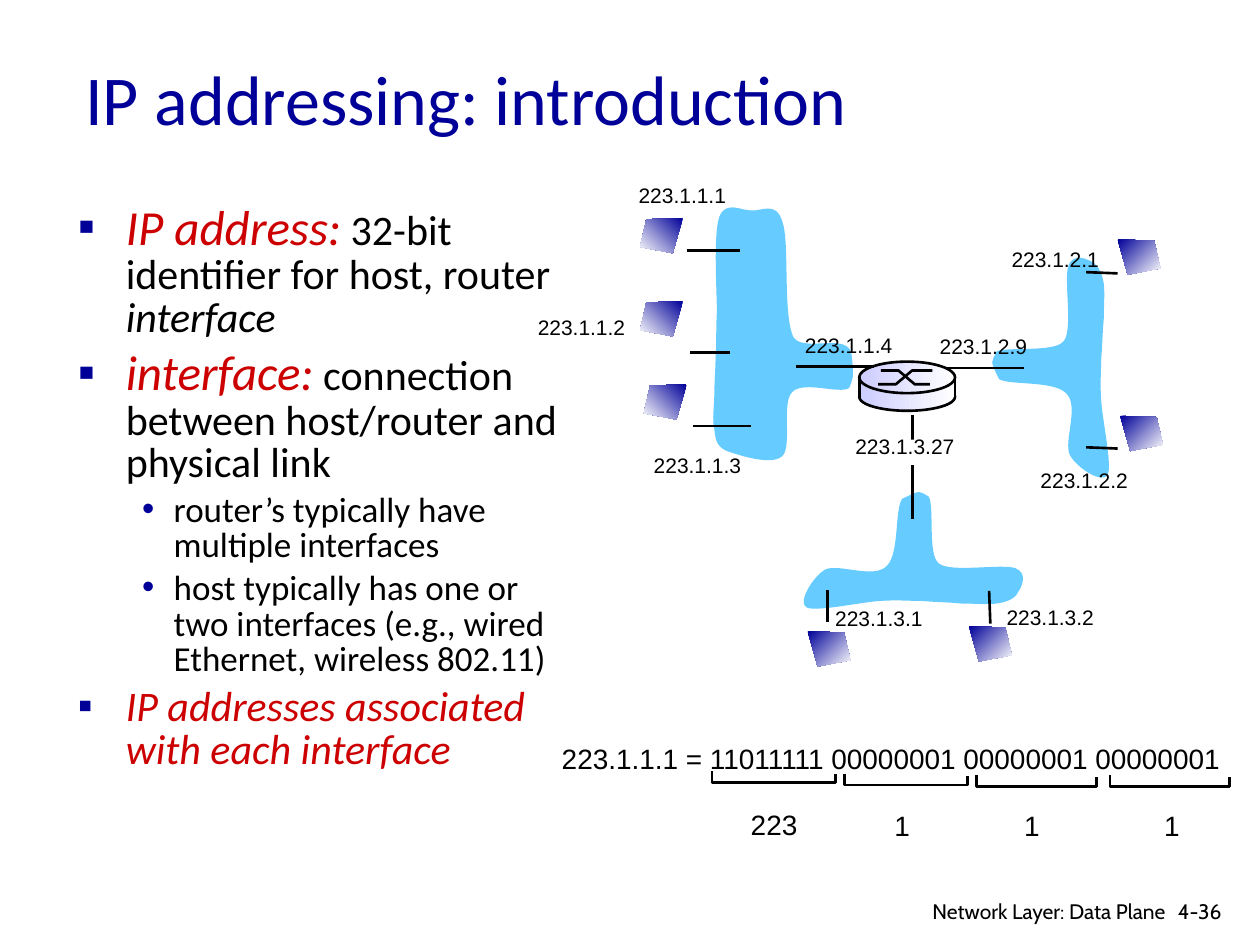
from lxml.etree import SubElement
from pptx import Presentation
from pptx.dml.color import RGBColor
from pptx.enum.shapes import MSO_CONNECTOR, MSO_SHAPE
from pptx.enum.text import MSO_ANCHOR, MSO_AUTO_SIZE, PP_ALIGN
from pptx.oxml.ns import qn
from pptx.util import Inches, Pt

BLACK = RGBColor(0x00, 0x00, 0x00)
WHITE = RGBColor(0xFF, 0xFF, 0xFF)
NAVY = RGBColor(0x00, 0x00, 0x99)
RED = RGBColor(0xCC, 0x00, 0x00)
SKY = RGBColor(0x66, 0xCC, 0xFF)
LAVENDER = RGBColor(0xCC, 0xCC, 0xFF)

# Subnet outlines: a start point, then three Bezier points per segment.
SUBNETS = [
    [(7.16, 3.96), (7.1, 4.05), (7.14, 4.39), (7.04, 4.49),
     (6.94, 4.6), (6.66, 4.47), (6.55, 4.52), (6.45, 4.58), (6.33, 4.78), (6.4, 4.82),
     (6.47, 4.86), (6.83, 4.78), (6.98, 4.77), (7.13, 4.76), (7.21, 4.77), (7.32, 4.77),
     (7.43, 4.78), (7.53, 4.78), (7.63, 4.79), (7.72, 4.79), (7.84, 4.8), (7.91, 4.79),
     (7.99, 4.78), (8.06, 4.75), (8.08, 4.7), (8.11, 4.66), (8.16, 4.55), (8.06, 4.51),
     (7.95, 4.47), (7.54, 4.55), (7.45, 4.47), (7.36, 4.4), (7.42, 4.01), (7.37, 3.94),
     (7.29, 3.9), (7.32, 3.88), (7.16, 3.96)],
    [(7.93, 3.01), (8.02, 3.06), (8.36, 3.02), (8.46, 3.12),
     (8.57, 3.22), (8.44, 3.5), (8.49, 3.61), (8.55, 3.72), (8.75, 3.84), (8.79, 3.77),
     (8.83, 3.7), (8.75, 3.34), (8.74, 3.18), (8.73, 3.03), (8.74, 2.95), (8.74, 2.85),
     (8.75, 2.74), (8.75, 2.63), (8.76, 2.54), (8.76, 2.44), (8.77, 2.33), (8.76, 2.25),
     (8.75, 2.18), (8.72, 2.11), (8.67, 2.08), (8.63, 2.06), (8.52, 2), (8.48, 2.11),
     (8.44, 2.21), (8.52, 2.63), (8.44, 2.71), (8.37, 2.8), (7.98, 2.75), (7.91, 2.79),
     (7.87, 2.88), (7.85, 2.85), (7.93, 3.01)],
    [(6.76, 2.82), (6.74, 2.63), (6.39, 2.8), (6.3, 2.68),
     (6.21, 2.5), (6.27, 1.92), (6.21, 1.76), (6.16, 1.59), (6.04, 1.68), (5.96, 1.67),
     (5.88, 1.67), (5.76, 1.59), (5.71, 1.72), (5.66, 1.86), (5.69, 2.3), (5.69, 2.48),
     (5.68, 2.66), (5.69, 2.71), (5.68, 2.81), (5.68, 2.92), (5.67, 3.03), (5.67, 3.12),
     (5.67, 3.22), (5.65, 3.33), (5.67, 3.41), (5.68, 3.48), (5.68, 3.54), (5.77, 3.58),
     (5.86, 3.61), (6.12, 3.7), (6.21, 3.62), (6.29, 3.54), (6.2, 3.19), (6.29, 3.11),
     (6.38, 3.02), (6.66, 3.13), (6.74, 3.08), (6.77, 3), (6.78, 3.01), (6.76, 2.82)],
]

BODY = [
    (0, [("IP address:", 28, RED, True), (" 32-bit identifier for host, router ", 24, BLACK, False),
         ("interface", 24, BLACK, True)]),
    (0, [("interface:", 28, RED, True),
         (" connection between host/router and physical link", 24, BLACK, False)]),
    (1, [("router’s typically have multiple interfaces", 20, BLACK, False)]),
    (1, [("host typically has one or two interfaces (e.g., wired Ethernet, wireless 802.11)",
          20, BLACK, False)]),
    (0, [("IP addresses associated with each interface", 24, RED, True)]),
]

ADDRESSES = [("223.1.1.1", 4.97, 1.4), ("223.1.1.2", 4.17, 2.45), ("223.1.1.3", 5.09, 3.54),
             ("223.1.1.4", 6.29, 2.59), ("223.1.2.9", 7.36, 2.6), ("223.1.2.2", 8.16, 3.66),
             ("223.1.2.1", 7.93, 1.91), ("223.1.3.2", 7.89, 4.75), ("223.1.3.1", 6.53, 4.76),
             ("223.1.3.27", 6.69, 3.39)]
LINKS = [(7.5, 2.92, 8.13, 2.92), (8.62, 2.16, 8.87, 2.17), (8.62, 3.55, 8.87, 3.56),
         (7.24, 3.29, 7.24, 4.12), (6.57, 4.94, 6.57, 4.68), (7.86, 4.95, 7.85, 4.69)]
LEFT_LINKS = [(5.45, 1.99, 5.87, 1.99), (5.48, 2.8, 5.79, 2.8),
              (5.5, 3.38, 5.96, 3.38), (6.32, 2.91, 6.94, 2.91)]
LEFT_HOSTS = [(5.08, 1.73), (5.08, 2.39), (5.11, 3.05)]
OTHER_HOSTS = [(8.87, 1.9), (8.89, 3.3), (7.69, 4.97), (6.41, 5.01)]
HOST = [(0, 0), (0.29, 0.01), (0.34, 0.23), (0.08, 0.28)]
# Bracket left, top, width, then its octet and the octet's left and top.
OCTETS = [(5.65, 6.12, 0.98, "223", 5.86, 6.36), (6.7, 6.14, 0.98, "1", 7, 6.37),
          (7.75, 6.15, 0.95, "1", 8.03, 6.37), (8.81, 6.15, 0.95, "1", 9.14, 6.37)]


def bend(sp):
    """Turn each three line segments of a freeform into one Bezier segment."""
    segments = list(sp._element.iter(qn("a:lnTo")))
    for i in range(0, len(segments), 3):
        first, *others = segments[i:i + 3]
        first.tag = qn("a:cubicBezTo")
        for segment in others:
            first.append(segment[0])
            segment.getparent().remove(segment)


def add_run(p, text, *, size=12, color=BLACK, font="Arial", italic=False):
    r = p.add_run()
    r.text = text
    r.font.size, r.font.name, r.font.italic = Pt(size), font, italic
    r.font.color.rgb = color


def add_bullet(p, char, indent, hang):
    pPr = p._p.get_or_add_pPr()
    pPr.set("marL", str(Inches(indent)))
    pPr.set("indent", str(-Inches(hang)))
    color = SubElement(pPr, qn("a:buClr"))
    SubElement(color, qn("a:srgbClr"), val=str(NAVY))
    SubElement(pPr, qn("a:buFont"), typeface="Arial")
    SubElement(pPr, qn("a:buChar"), char=char)


class Diagram:
    def __init__(self, slide, line_width=1.5):
        self.shapes = slide.shapes
        self.line_width = Pt(line_width)

    def frame(self, x, y, w, h, wrap=True):
        tf = self.shapes.add_textbox(Inches(x), Inches(y), Inches(w), Inches(h)).text_frame
        tf.word_wrap = wrap
        tf.auto_size = MSO_AUTO_SIZE.NONE if wrap else MSO_AUTO_SIZE.SHAPE_TO_FIT_TEXT
        return tf

    def text(self, text, x, y, w, h, *, wrap=False, align=PP_ALIGN.LEFT,
             anchor=MSO_ANCHOR.TOP, **fmt):
        tf = self.frame(x, y, w, h, wrap)
        tf.vertical_anchor = anchor
        tf.paragraphs[0].alignment = align
        add_run(tf.paragraphs[0], text, **fmt)

    def bullets(self, items, x, y, w, h):
        tf = self.frame(x, y, w, h)
        for i, (level, runs) in enumerate(items):
            p = tf.add_paragraph() if i else tf.paragraphs[0]
            add_bullet(p, *(("•", 0.76, 0.25) if level else ("▪", 0.38, 0.38)))
            p.level = level
            p.line_spacing = 0.85
            if i:
                p.space_before = Pt(runs[0][1] * 0.2)
            for text, size, color, italic in runs:
                add_run(p, text, size=size, color=color, italic=italic, font="Calibri")

    def paint(self, sp, fill, angle, outlined):
        """Fill with a colour, a pair of gradient colours, or nothing."""
        sp.shadow.inherit = False
        if fill is None:
            sp.fill.background()
        elif isinstance(fill, RGBColor):
            sp.fill.solid()
            sp.fill.fore_color.rgb = fill
        else:
            sp.fill.gradient()
            sp.fill.gradient_angle = angle
            for stop, color in zip(sp.fill.gradient_stops, fill):
                stop.color.rgb = color
        if outlined:
            sp.line.color.rgb = BLACK
            sp.line.width = self.line_width
        else:
            sp.line.fill.background()

    def shape(self, kind, x, y, w, h, fill, *, angle=0, outlined=False):
        sp = self.shapes.add_shape(kind, Inches(x), Inches(y), Inches(w), Inches(h))
        self.paint(sp, fill, angle, outlined)

    def outline(self, pts, *, fill=None, angle=0):
        """Draw a closed filled outline, or an open stroked one without fill."""
        start, *rest = [(Inches(x), Inches(y)) for x, y in pts]
        builder = self.shapes.build_freeform(*start)
        builder.add_line_segments(rest, close=fill is not None)
        sp = builder.convert_to_shape()
        self.paint(sp, fill, angle, fill is None)
        return sp

    def line(self, *ends):
        cxn = self.shapes.add_connector(MSO_CONNECTOR.STRAIGHT, *map(Inches, ends))
        cxn.line.color.rgb = BLACK
        cxn.line.width = self.line_width
        SubElement(cxn._element.spPr, qn("a:effectLst"))

    def host(self, x, y, mirrored=False):
        pts = [(x + (0.34 - dx if mirrored else dx), y + dy) for dx, dy in HOST]
        self.outline(pts, fill=(NAVY, WHITE), angle=225 if mirrored else 315)

    def router(self, x, y, w):
        metal = (LAVENDER, WHITE)
        self.shape(MSO_SHAPE.OVAL, x, y + 0.17, w, 0.22, metal, outlined=True)
        self.shape(MSO_SHAPE.RECTANGLE, x, y + 0.15, w, 0.13, metal)
        self.shape(MSO_SHAPE.OVAL, x, y, w, 0.25, metal, outlined=True)
        top, bottom = y + 0.07, y + 0.18
        self.outline([(x + 0.15, bottom), (x + 0.29, bottom), (x + 0.42, top), (x + 0.58, top)])
        self.outline([(x + 0.17, top), (x + 0.31, top), (x + 0.44, bottom), (x + 0.56, bottom)])
        for side in (x, x + w):
            self.line(side, y + 0.12, side, y + 0.29)

    def bracket(self, x, y, w):
        self.outline([(x, y), (x, y + 0.09), (x + w, y + 0.09), (x + w, y + 0.02)])


def main():
    prs = Presentation()
    prs.slide_width, prs.slide_height = Inches(10), Inches(7.5)
    s = Diagram(prs.slides.add_slide(prs.slide_layouts[6]))

    for subnet in SUBNETS:
        bend(s.outline(subnet, fill=SKY))
    s.text("IP addressing: introduction", 0.58, 0.25, 8.5, 1.04, wrap=True,
           anchor=MSO_ANCHOR.MIDDLE, size=40, color=NAVY, font="Calibri")
    s.bullets(BODY, 0.52, 1.58, 4.04, 5.08)

    for link in LINKS:
        s.line(*link)
    for x, y, w in ((4.27, 2.54, 0.91), (6.78, 3.49, 0.93)):
        s.shape(MSO_SHAPE.RECTANGLE, x, y, w, 0.2, WHITE)
    for address, x, y in ADDRESSES:
        s.text(address, x, y, 0.1 * len(address), 0.3)

    s.text("223.1.1.1 = 11011111 00000001 00000001 00000001", 4.36, 5.84, 5.52, 0.37, size=16)
    for x, y, w, octet, label_x, label_y in OCTETS:
        s.bracket(x, y, w)
        s.text(octet, label_x, label_y, 0.19 + 0.13 * len(octet), 0.37, size=16)

    for x, y in LEFT_HOSTS:
        s.host(x, y, mirrored=True)
    for x, y in OTHER_HOSTS:
        s.host(x, y)
    s.router(6.82, 2.87, 0.76)
    for link in LEFT_LINKS:
        s.line(*link)

    s.text("4-36", 9.25, 7.08, 0.61, 0.3, wrap=True, font="Cabin")
    s.text("Network Layer: Data Plane", 6.97, 7.08, 2.38, 0.26, wrap=True,
           align=PP_ALIGN.RIGHT, font="Cabin")
    prs.save("out.pptx")


if __name__ == "__main__":
    main()
